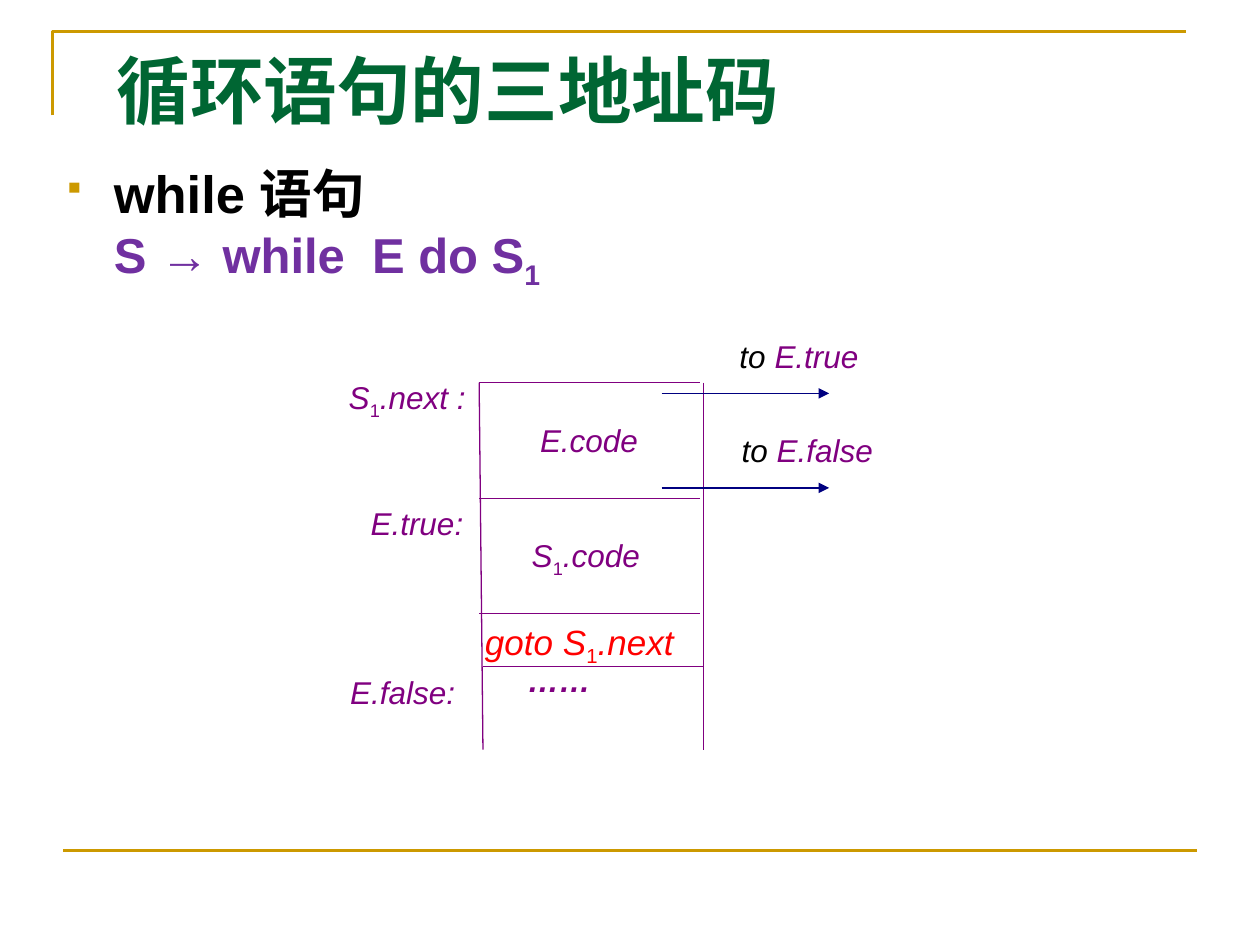
from lxml import etree
from pptx import Presentation, util as u
from pptx.dml.color import RGBColor
from pptx.enum import shapes, text
from pptx.oxml.ns import qn

Pt = u.Pt
COLORS = {"gold": "CC9900", "green": "006633", "black": "000000", "violet": "7030A0",
          "purple": "800080", "red": "FF0000", "navy": "000080"}


class SlideBuilder:
    """Holds the style and the current slide."""

    def __init__(self, slide, font="Arial"):
        self.slide, self.font = slide, font

    def color(self, name):
        """Return the named colour."""
        return RGBColor.from_string(COLORS[name])

    def style(self, paragraph, size, color, font=None, bold=False, italic=False):
        """Set the font of a whole paragraph."""
        face = paragraph.font
        face.name, face.size = font or self.font, Pt(size)
        face.bold, face.italic = bold, italic
        face.color.rgb = self.color(color)

    def add_run(self, paragraph, wording, color=None, size=None):
        """Add a run; a wording that starts with _ becomes an upright subscript."""
        run = paragraph.add_run()
        run.text = wording.lstrip("_")
        if wording.startswith("_"):
            run.font.italic = False
            run._r.get_or_add_rPr().set("baseline", "-25000")
        if color:
            run.font.color.rgb = self.color(color)
        if size:
            run.font.size = Pt(size)

    def title(self, wording, left, top, width, height):
        """Place and format the title placeholder."""
        title = self.slide.shapes.title
        title.left, title.top, title.width, title.height = map(Pt, (left, top, width, height))
        frame = title.text_frame
        frame.text = wording
        frame.auto_size = text.MSO_AUTO_SIZE.NONE
        frame.vertical_anchor = text.MSO_ANCHOR.MIDDLE
        frame.paragraphs[0].alignment = text.PP_ALIGN.LEFT
        self.style(frame.paragraphs[0], 42, "green", "Times New Roman", bold=True)

    def text_box(self, left, top, width, height, wrap=True, grow=False):
        """Add an empty text box and return its first paragraph."""
        frame = self.slide.shapes.add_textbox(*map(Pt, (left, top, width, height))).text_frame
        frame.word_wrap = wrap
        if grow:
            frame.auto_size = text.MSO_AUTO_SIZE.SHAPE_TO_FIT_TEXT
        return frame.paragraphs[0]

    def label(self, pieces, left, top, width, height=29, wrap=False,
              size=18, color="purple", bold=False):
        """Add an italic label from (wording, colour) pieces."""
        paragraph = self.text_box(left, top, width, height, wrap, grow=True)
        self.style(paragraph, size, color, bold=bold, italic=True)
        for wording, tint in pieces:
            self.add_run(paragraph, wording, tint)

    def bullet(self, paragraph, indent):
        """Give a paragraph a hanging square bullet."""
        props = paragraph._p.get_or_add_pPr()
        props.set("marL", str(Pt(indent)))
        props.set("indent", str(-Pt(indent)))
        tint = etree.Element(qn("a:buClr"))
        etree.SubElement(tint, qn("a:srgbClr"), val=COLORS["gold"])
        size = etree.Element(qn("a:buSzPct"), val="65000")
        face = etree.Element(qn("a:buFont"), typeface="Wingdings", charset="2")
        mark = etree.Element(qn("a:buChar"), char="§")
        at = 1 if props.find(qn("a:spcBef")) is not None else 0
        for offset, part in enumerate((tint, size, face, mark)):
            props.insert(at + offset, part)

    def line(self, x1, y1, x2, y2, color="purple", width=0.74, arrow=False):
        """Add a straight line, with an arrowhead at its end if wanted."""
        line = self.slide.shapes.add_connector(
            shapes.MSO_CONNECTOR.STRAIGHT, *map(Pt, (x1, y1, x2, y2)))
        line.line.color.rgb = self.color(color)
        line.line.width = Pt(width)
        if arrow:
            etree.SubElement(line.line._get_or_add_ln(), qn("a:tailEnd"), type="triangle")
        etree.SubElement(line._element.spPr, qn("a:effectLst"))

    def corner(self, left, top, right, bottom):
        """Add the open corner rule above the title."""
        pen = self.slide.shapes.build_freeform(Pt(left), Pt(bottom))
        pen.add_line_segments([(Pt(left), Pt(top)), (Pt(right), Pt(top))], close=False)
        rule = pen.convert_to_shape()
        rule.shadow.inherit = False
        rule.fill.background()
        rule.line.color.rgb = self.color("gold")
        rule.line.width = Pt(1.5)


def main():
    """Build and save the slide."""
    deck = Presentation()
    deck.slide_width, deck.slide_height = Pt(720), Pt(540)
    page = SlideBuilder(deck.slides.add_slide(deck.slide_layouts[5]))

    page.corner(30, 18, 678, 66)
    page.line(36, 486, 684, 486, "gold", 1.5)
    page.title("循环语句的三地址码", 59.6, 23, 624, 55.4)

    grammar = page.text_box(31, 88.6, 652, 385)
    grammar.space_before = Pt(7)
    page.style(grammar, 28, "violet", bold=True)
    page.bullet(grammar, 27)
    page.add_run(grammar, "while 语句", "black", 30)
    grammar.add_line_break()
    page.add_run(grammar, "S → while  E do S")
    page.add_run(grammar, "_1")

    # Code blocks
    left, right, top, bottom = 273.8, 402, 218.7, 428.4
    goto_bottom = 380.9
    page.line(left, top, left + 2.2, bottom)
    page.line(right, top, right, bottom)
    for row in range(3):
        y = top + 66 * row
        page.line(left, y, right - 2.2, y)
    page.line(left + 2.2, goto_bottom, right, goto_bottom)

    page.label([("E.code", None)], 301.5, 236.9, 70.6)
    page.label([("S", None), ("_1", None), (".code", None)], 296.8, 302.8, 76.3, 31.7)
    page.label([("goto S", None), ("_1", None), (".next", None)],
               270, 350.8, 140.4, 34.6, wrap=True, size=20, color="red")
    page.label([("……", None)], 294.5, 374.4, 50.4, bold=True)

    # Entry labels
    page.label([("S", None), ("_1", None), (".next :", None)], 192.2, 212.7, 82, 31.7, wrap=True)
    page.label([("E.true:", None)], 204.7, 284.7, 69, wrap=True)
    page.label([("E.false:", None)], 193, 380.9, 80.6, wrap=True)

    # Exits
    for target, x, y, width, arrow_y in (("E.true", 415.5, 188.8, 83, 224.8),
                                         ("E.false", 416.7, 242.6, 90, 278.8)):
        page.label([("to ", "black"), (target, None)], x, y, width)
        page.line(378, arrow_y, 473.8, arrow_y, "navy", arrow=True)

    deck.save("out.pptx")


main()
